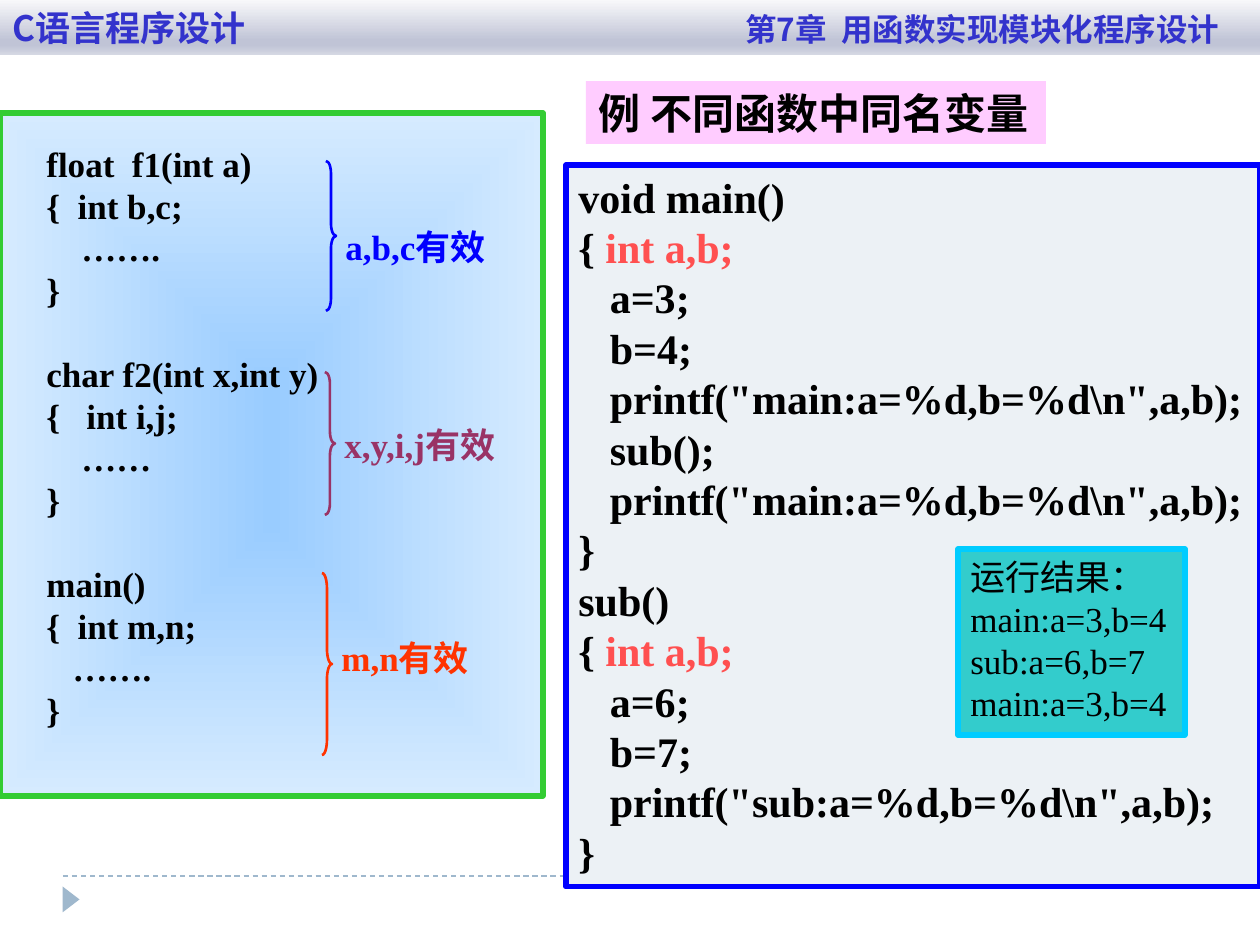
from dataclasses import dataclass

import lxml.etree
import pptx
import pptx.dml.color
import pptx.enum.dml
import pptx.enum.shapes
import pptx.enum.text
import pptx.oxml
import pptx.oxml.ns
import pptx.util

EMU_PER_PX = 914400 // 126
SHAPES = pptx.enum.shapes.MSO_SHAPE
ANCHOR = pptx.enum.text.MSO_ANCHOR


@dataclass(frozen=True)
class Theme:
    serif: str = "Times New Roman"
    sans: str = "Noto Sans CJK JP"
    large: int = 24
    normal: int = 20
    small: int = 18
    leading: float = 1.2
    text: str = "000000"
    header: str = "3333CC"
    local: str = "FF5050"
    title_fill: str = "FFCCFF"
    code_fill: str = "ECF1F5"
    code_line: str = "0000FF"
    scope_line: str = "33CC33"
    result_fill: str = "33CCCC"
    result_line: str = "00CCFF"
    footer: str = "9FB8CD"
    scopes: tuple = ("0000FF", "993366", "FF3300")
    header_stops: tuple = ((0, "F8F8FA"), (74, "C0C4D6"), (83, "C0C4D6"), (100, "D5D8E3"))
    scope_stops: tuple = ((0, "99CCFF"), (100, "D6EBFF"))


THEME = Theme()

SCOPE_CODE = """float  f1(int a)
{  int b,c;
    …….
}

char f2(int x,int y)
{   int i,j;
    ……
}

main()
{  int m,n;
   …….
}"""

MAIN_CODE = r"""void main()
{ int a,b;
   a=3;
   b=4;
   printf("main:a=%d,b=%d\n",a,b);
   sub();
   printf("main:a=%d,b=%d\n",a,b);
}
sub()
{ int a,b;
   a=6;
   b=7;
   printf("sub:a=%d,b=%d\n",a,b);
}"""

RESULT = """运行结果：
main:a=3,b=4
sub:a=6,b=7
main:a=3,b=4"""


def px(value):
    return pptx.util.Emu(value * EMU_PER_PX)


def rgb(value):
    return pptx.dml.color.RGBColor.from_string(value)


def append_xml(parent, tag, **attributes):
    return lxml.etree.SubElement(parent, pptx.oxml.ns.qn(tag), **attributes)


def add_box(slide, kind, box, fill=None, line=None, line_width=3):
    shape = slide.shapes.add_shape(kind, *map(px, box))
    shape.shadow.inherit = False
    if fill:
        shape.fill.solid()
        shape.fill.fore_color.rgb = rgb(fill)
    else:
        shape.fill.background()
    if line:
        shape.line.color.rgb = rgb(line)
        shape.line.width = pptx.util.Pt(line_width)
    else:
        shape.line.fill.background()
    return shape


def set_gradient(shape, stops, direction):
    """Replace the empty fill; direction is the XML that shapes the gradient."""
    stop_xml = "".join(
        f'<a:gs pos="{position * 1000}"><a:srgbClr val="{color}"/></a:gs>'
        for position, color in stops
    )
    gradient = pptx.oxml.parse_xml(
        f'<a:gradFill {pptx.oxml.ns.nsdecls("a")} rotWithShape="1">'
        f"<a:gsLst>{stop_xml}</a:gsLst>{direction}</a:gradFill>"
    )
    properties = shape.element.spPr
    properties.replace(properties.find(pptx.oxml.ns.qn("a:noFill")), gradient)


def add_run(paragraph, text, size, color, font, bold):
    run = paragraph.add_run()
    run.text = text
    run.font.size = pptx.util.Pt(size)
    run.font.bold = bold
    run.font.color.rgb = rgb(color)
    run.font.name = font
    append_xml(run.font._element, "a:ea", typeface=THEME.sans)


def write_text(shape, text, size=THEME.normal, color=THEME.text, font=THEME.serif,
               bold=True, leading=THEME.leading, anchor=ANCHOR.TOP, right_tab=None,
               accent=None, accent_color=None, accent_size=None):
    """Write lines; an empty line becomes space before the next paragraph."""
    frame = shape.text_frame
    frame.word_wrap = True
    frame.auto_size = pptx.enum.text.MSO_AUTO_SIZE.NONE
    frame.vertical_anchor = anchor
    frame.margin_left = frame.margin_right = pptx.util.Inches(0.1)
    frame.margin_top = frame.margin_bottom = pptx.util.Inches(0.05 if leading else 0)
    paragraph = frame.paragraphs[0]
    for block_index, block in enumerate(text.split("\n\n")):
        for line_index, line in enumerate(block.split("\n")):
            if block_index or line_index:
                paragraph = frame.add_paragraph()
            paragraph.alignment = pptx.enum.text.PP_ALIGN.LEFT
            if leading:
                paragraph.line_spacing = pptx.util.Pt(size * leading)
            if block_index and not line_index:
                paragraph.space_before = pptx.util.Pt(size * leading)
            if right_tab:
                tabs = append_xml(paragraph._p.get_or_add_pPr(), "a:tabLst")
                append_xml(tabs, "a:tab", pos=str(px(right_tab)), algn="r")
            before, match, after = line.partition(accent) if accent else (line, "", "")
            for part in (before, match, after):
                if part:
                    special = part is match
                    add_run(paragraph, part,
                            accent_size if special and accent_size else size,
                            accent_color if special and accent_color else color,
                            font, bold)


def add_scope(slide, label, brace_box, bend, label_left, label_top, color):
    brace = add_box(slide, SHAPES.RIGHT_BRACE, brace_box, line=color, line_width=1.5)
    brace.adjustments[0] = bend
    brace.adjustments[1] = 0.5
    text_box = slide.shapes.add_textbox(*map(px, (label_left, label_top, 200, 54)))
    write_text(text_box, label, color=color)


def add_footer(slide):
    rule = slide.shapes.add_connector(
        pptx.enum.shapes.MSO_CONNECTOR.STRAIGHT, px(63), px(876), px(1197), px(876))
    rule.line.color.rgb = rgb(THEME.footer)
    rule.line.width = pptx.util.Pt(0.75)
    rule.line.dash_style = pptx.enum.dml.MSO_LINE.DASH
    append_xml(rule.element.spPr, "a:effectLst")
    marker = add_box(slide, SHAPES.ISOSCELES_TRIANGLE, (58, 891, 26, 17), THEME.footer)
    marker.rotation = 90


def add_title(slide, text):
    title = slide.shapes.title
    title.left, title.top, title.width, title.height = map(px, (586, 81, 460, 63))
    title.fill.solid()
    title.fill.fore_color.rgb = rgb(THEME.title_fill)
    write_text(title, text, size=THEME.large, anchor=ANCHOR.MIDDLE)


def add_header(slide, course, chapter):
    header = add_box(slide, SHAPES.RECTANGLE, (0, 0, 1260, 55))
    set_gradient(header, THEME.header_stops, '<a:lin ang="5400000" scaled="0"/>')
    write_text(header, f"{course}\t{chapter}", color=THEME.header, font=THEME.sans,
               leading=None, anchor=ANCHOR.MIDDLE, right_tab=1207,
               accent=chapter, accent_size=THEME.small)


def add_scope_panel(slide):
    panel = add_box(slide, SHAPES.RECTANGLE, (0, 113, 543, 683), line=THEME.scope_line)
    set_gradient(panel, THEME.scope_stops,
                 '<a:path path="shape">'
                 '<a:fillToRect l="50000" t="50000" r="50000" b="50000"/></a:path>')
    code = slide.shapes.add_textbox(*map(px, (34, 136, 310, 684)))
    write_text(code, SCOPE_CODE)
    scopes = (
        ("a,b,c有效", (326, 161, 10, 150), 1.22, 333, 219),
        ("x,y,i,j有效", (325, 372, 10, 143), 1.16, 332, 417),
        ("m,n有效", (322, 573, 10, 182), 1.48, 329, 630),
    )
    for scope, color in zip(scopes, THEME.scopes):
        add_scope(slide, *scope, color)


def main():
    presentation = pptx.Presentation()
    presentation.slide_width, presentation.slide_height = px(1260), px(945)
    slide = presentation.slides.add_slide(presentation.slide_layouts[5])
    add_title(slide, "例 不同函数中同名变量")
    add_footer(slide)
    add_scope_panel(slide)
    program = add_box(slide, SHAPES.RECTANGLE, (566, 165, 694, 722),
                      THEME.code_fill, THEME.code_line)
    write_text(program, MAIN_CODE, size=THEME.large,
               accent="int a,b;", accent_color=THEME.local)
    result = add_box(slide, SHAPES.RECTANGLE, (958, 549, 227, 186),
                     THEME.result_fill, THEME.result_line)
    write_text(result, RESULT, bold=False)
    add_header(slide, "C语言程序设计", "第7章  用函数实现模块化程序设计")
    presentation.save("out.pptx")


if __name__ == "__main__":
    main()
